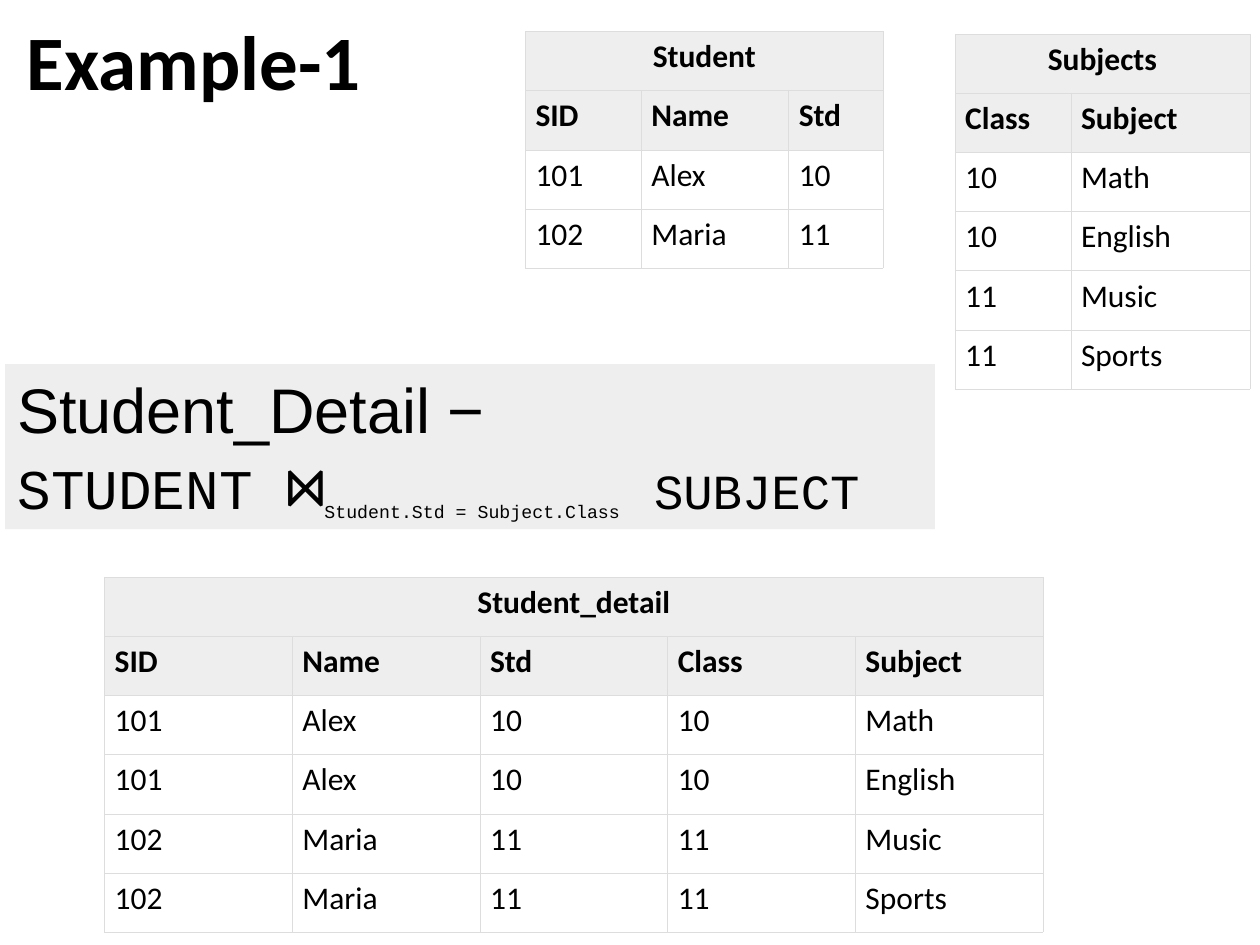
import pptx
import pptx.dml.color
import pptx.enum.shapes
import pptx.enum.text
import pptx.oxml
import pptx.oxml.ns
import pptx.util

Inches = pptx.util.Inches
Pt = pptx.util.Pt
ALIGN = pptx.enum.text.PP_ALIGN
ANCHOR = pptx.enum.text.MSO_ANCHOR

BLACK, PALE, RULE = "000000", "EEEEEE", "DDDDDD"
ROW_HEIGHT = 0.47

STUDENTS = [("101", "Alex", "10"), ("102", "Maria", "11")]
SUBJECTS = [("10", "Math"), ("10", "English"), ("11", "Music"), ("11", "Sports")]
DETAILS = [student + subject for student in STUDENTS for subject in SUBJECTS
           if student[2] == subject[0]]


def color(value):
    return pptx.dml.color.RGBColor.from_string(value)


def apply(target, formats):
    for name, value in formats.items():
        setattr(target, name, value)


def add_span(para, text, face, size, bold=False, baseline=0):
    span = para.add_run()
    span.text = text
    apply(span.font, {"name": face, "size": Pt(size), "bold": bold})
    span.font.color.rgb = color(BLACK)
    if baseline:
        span.font._element.set("baseline", str(baseline * 1000))


def add_borders(cell):
    properties = cell._tc.get_or_add_tcPr()
    for side in ("lnL", "lnR", "lnT", "lnB"):
        properties.append(pptx.oxml.parse_xml(
            f'<a:{side} {pptx.oxml.ns.nsdecls("a")} w="{Pt(0.34)}"><a:solidFill>'
            f'<a:srgbClr val="{RULE}"/></a:solidFill></a:{side}>'))


def format_cell(cell, is_heading):
    apply(cell, {"margin_left": Inches(0.08), "margin_right": Inches(0.08),
                 "margin_top": Inches(0.05), "margin_bottom": Inches(0.05),
                 "vertical_anchor": ANCHOR.TOP})
    add_borders(cell)
    if is_heading:
        cell.fill.solid()
        cell.fill.fore_color.rgb = color(PALE)
    else:
        cell.fill.background()


def add_relation(page, left, top, widths, name, fields, records):
    """Table with a merged name row, a row of field names and the records."""
    rows = [(name,) + ("",) * (len(fields) - 1), fields, *records]
    frame = page.shapes.add_table(
        len(rows), len(fields), Inches(left), Inches(top),
        Inches(sum(widths)), Inches(ROW_HEIGHT * len(rows)))
    table = frame.table
    apply(table, {"first_row": False, "horz_banding": False})
    for column, width in zip(table.columns, widths):
        column.width = Inches(width)
    for r, row in enumerate(rows):
        table.rows[r].height = Inches(ROW_HEIGHT)
        for c, text in enumerate(row):
            cell = table.cell(r, c)
            format_cell(cell, r < 2)
            if text:
                add_span(cell.text_frame.paragraphs[0], text, "Calibri", 18, r < 2)
    table.cell(0, 0).merge(table.cell(0, len(fields) - 1))
    table.cell(0, 0).text_frame.paragraphs[0].alignment = ALIGN.CENTER


def add_title(page, left, top, width, height):
    title = page.shapes.title
    apply(title, {"left": Inches(left), "top": Inches(top),
                  "width": Inches(width), "height": Inches(height)})
    apply(title.text_frame, {"vertical_anchor": ANCHOR.MIDDLE,
                             "auto_size": pptx.enum.text.MSO_AUTO_SIZE.NONE})
    para = title.text_frame.paragraphs[0]
    para.alignment = ALIGN.CENTER
    add_span(para, "Example-1", "Calibri", 44, True)


def add_join_formula(page, left, top, width, height):
    box = page.shapes.add_shape(
        pptx.enum.shapes.MSO_SHAPE.RECTANGLE,
        Inches(left), Inches(top), Inches(width), Inches(height))
    box.shadow.inherit = False
    box.fill.solid()
    box.fill.fore_color.rgb = color(PALE)
    box.line.fill.background()
    frame = box.text_frame
    apply(frame, {"word_wrap": True, "vertical_anchor": ANCHOR.MIDDLE})
    heading, formula = frame.paragraphs[0], frame.add_paragraph()
    heading.alignment = formula.alignment = ALIGN.LEFT
    add_span(heading, "Student_Detail −", "Arial", 36)
    for text, size, baseline in (("STUDENT ", 32, 0), ("⋈", 36, 0),
                                 ("Student.Std = Subject.Class", 18, -30),
                                 (" ", 32, 0), ("SUBJECT", 28, 0)):
        add_span(formula, text, "Courier New", size, baseline=baseline)


def main():
    deck = pptx.Presentation()
    apply(deck, {"slide_width": Inches(10), "slide_height": Inches(7.5)})
    page = deck.slides.add_slide(deck.slide_layouts.get_by_name("Title Only"))
    add_title(page, 0, 0.02, 3.08, 0.9)
    add_relation(page, 4.17, 0.25, (0.92, 1.17, 0.75), "Student",
                 ("SID", "Name", "Std"), STUDENTS)
    add_relation(page, 7.58, 0.27, (0.92, 1.42), "Subjects",
                 ("Class", "Subject"), SUBJECTS)
    add_join_formula(page, 0.04, 2.89, 7.38, 1.31)
    add_relation(page, 0.83, 4.58, (1.49,) * 5, "Student_detail",
                 ("SID", "Name", "Std", "Class", "Subject"), DETAILS)
    deck.save("out.pptx")


if __name__ == "__main__":
    main()
